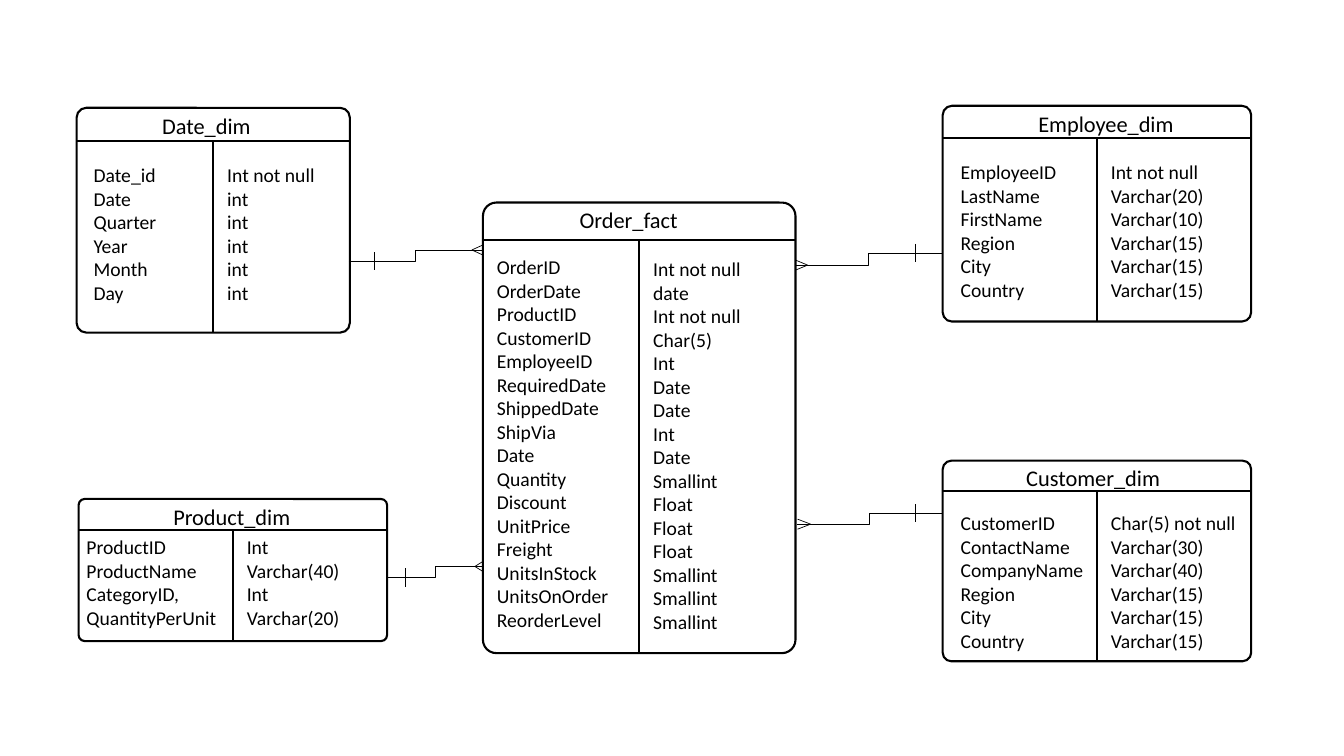
from dataclasses import dataclass

from lxml import etree
from pptx import Presentation
from pptx.dml.color import RGBColor
from pptx.enum.shapes import MSO_CONNECTOR, MSO_SHAPE
from pptx.enum.text import MSO_AUTO_SIZE
from pptx.oxml.ns import qn
from pptx.util import Inches, Pt

STRAIGHT, ELBOW = MSO_CONNECTOR.STRAIGHT, MSO_CONNECTOR.ELBOW
ROUNDED = MSO_SHAPE.ROUNDED_RECTANGLE
FIT_SHAPE = MSO_AUTO_SIZE.SHAPE_TO_FIT_TEXT
COLORS = {"ink": "000000"}
FONT = "Calibri"
TITLE_SIZE, FIELD_SIZE = 16, 14
FRAME_WIDTH, LINK_WIDTH = 1.5, 0.5
TICK_HALF, FOOT_HALF = 0.09, 0.05


@dataclass
class Entity:
    """A database table: its frame, text positions and fields."""
    title: str
    frame: tuple
    header_bottom: float
    title_left: float
    names_at: tuple
    types_top: float
    fields: list


@dataclass
class Relation:
    """A one-to-many link between two points."""
    one: tuple
    many: tuple
    tick_x: float
    foot_depth: float


ENTITIES = [
    Entity("Date_dim", (0.76, 1.07, 2.71, 2.23), 1.4, 1.51, (0.83, 1.57), 1.57, [
        ("Date_id", "Int not null"), ("Date", "int"), ("Quarter", "int"),
        ("Year", "int"), ("Month", "int"), ("Day", "int")]),
    Entity("Order_fact", (4.79, 2.01, 3.1, 4.47), 2.38, 5.65, (4.83, 2.48), 2.5, [
        ("OrderID", "Int not null"), ("OrderDate", "date"),
        ("ProductID", "Int not null"), ("CustomerID", "Char(5)"),
        ("EmployeeID", "Int"), ("RequiredDate", "Date"),
        ("ShippedDate", "Date"), ("ShipVia", "Int"), ("Date", "Date"),
        ("Quantity", "Smallint"), ("Discount", "Float"),
        ("UnitPrice", "Float"), ("Freight", "Float"),
        ("UnitsInStock", "Smallint"), ("UnitsOnOrder", "Smallint"),
        ("ReorderLevel", "Smallint")]),
    Entity("Employee_dim", (9.35, 1.05, 3.06, 2.14), 1.37, 10.2, (9.43, 1.54), 1.54, [
        ("EmployeeID", "Int not null"), ("LastName", "Varchar(20)"),
        ("FirstName", "Varchar(10)"), ("Region", "Varchar(15)"),
        ("City", "Varchar(15)"), ("Country", "Varchar(15)")]),
    Entity("Product_dim", (0.78, 4.95, 3.06, 1.41), 5.26, 1.62, (0.76, 5.26), 5.26, [
        ("ProductID", "Int"), ("ProductName", "Varchar(40)"),
        ("CategoryID,", "Int"), ("QuantityPerUnit", "Varchar(20)")]),
    Entity("Customer_dim", (9.35, 4.57, 3.06, 1.99), 4.87, 10.08, (9.43, 5.02), 5.02, [
        ("CustomerID", "Char(5) not null"), ("ContactName", "Varchar(30)"),
        ("CompanyName", "Varchar(40)"), ("Region", "Varchar(15)"),
        ("City", "Varchar(15)"), ("Country", "Varchar(15)")]),
]

RELATIONS = [
    Relation((3.46, 2.59), (4.79, 2.48), 3.71, 0.11),
    Relation((3.84, 5.73), (4.79, 5.62), 4.02, 0.08),
    Relation((9.34, 5.09), (7.91, 5.2), 9.08, 0.13),
    Relation((9.34, 2.51), (7.89, 2.63), 9.08, 0.12),
]


def color(name):
    """Return the named colour."""
    return RGBColor.from_string(COLORS[name])


def add_line(shapes, start, end, width, kind=STRAIGHT):
    """Draw a plain connector between two points."""
    line = shapes.add_connector(kind, *map(Inches, start + end))
    line.line.color.rgb = color("ink")
    line.line.width = Pt(width)
    etree.SubElement(line._element.spPr, qn("a:effectLst"))


def add_text(shapes, left, top, width, rows, size):
    """Add a text box with one paragraph per row."""
    height = 0.1 + len(rows) * size / 60
    box = shapes.add_textbox(*map(Inches, (left, top, width, height)))
    box.text_frame.word_wrap = True
    box.text_frame.auto_size = FIT_SHAPE
    box.text_frame.text = "\n".join(rows)
    for para in box.text_frame.paragraphs:
        for span in para.runs:
            span.font.name = FONT
            span.font.size = Pt(size)
            span.font.color.rgb = color("ink")


def add_entity(page, entity):
    """Draw a table frame with its title, names and types as one group."""
    shapes = page.shapes.add_group_shape().shapes
    left, top, width, height = entity.frame
    right, bottom, middle = left + width, top + height, left + width / 2
    frame = shapes.add_shape(ROUNDED, *map(Inches, entity.frame))
    frame.adjustments[0] = 0.043
    frame.shadow.inherit = False
    frame.fill.background()
    frame.line.color.rgb = color("ink")
    frame.line.width = Pt(FRAME_WIDTH)

    header = entity.header_bottom
    add_line(shapes, (left, header), (right, header), FRAME_WIDTH)
    add_line(shapes, (middle, bottom), (middle, header), FRAME_WIDTH)
    names, types = zip(*entity.fields)
    add_text(shapes, *entity.names_at, width / 2, names, FIELD_SIZE)
    add_text(shapes, middle + 0.04, entity.types_top, width / 2, types, FIELD_SIZE)
    add_text(shapes, entity.title_left, top - 0.01, 1.65, [entity.title], TITLE_SIZE)


def add_relation(page, relation):
    """Draw an elbow link with a tick at one end and a crow's foot at the other."""
    shapes = page.shapes.add_group_shape().shapes
    one_x, one_y = relation.one
    many_x, many_y = relation.many
    toward_one = 1 if one_x > many_x else -1
    foot_tip = (many_x + toward_one * relation.foot_depth, many_y)
    for offset in (-FOOT_HALF, FOOT_HALF):
        add_line(shapes, foot_tip, (many_x, many_y + offset), LINK_WIDTH)
    add_line(shapes, relation.one, relation.many, LINK_WIDTH, ELBOW)
    tick_x = relation.tick_x
    add_line(shapes, (tick_x, one_y - TICK_HALF), (tick_x, one_y + TICK_HALF), LINK_WIDTH)


def main():
    """Build the star schema slide."""
    deck = Presentation()
    deck.slide_width, deck.slide_height = Inches(13.33), Inches(7.5)
    page = deck.slides.add_slide(deck.slide_layouts[6])
    for entity in ENTITIES:
        add_entity(page, entity)
    for relation in RELATIONS:
        add_relation(page, relation)
    deck.save("out.pptx")


main()
